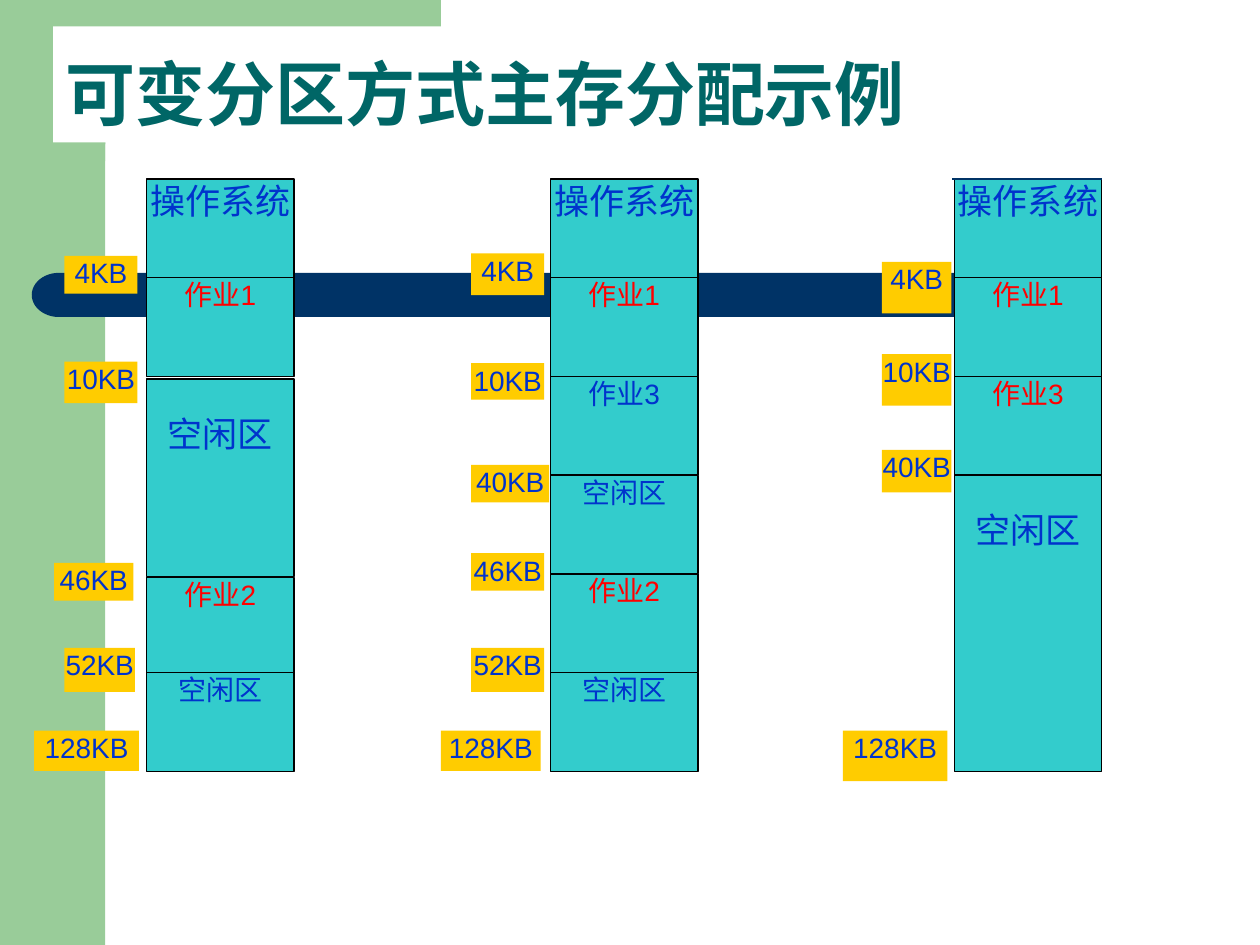
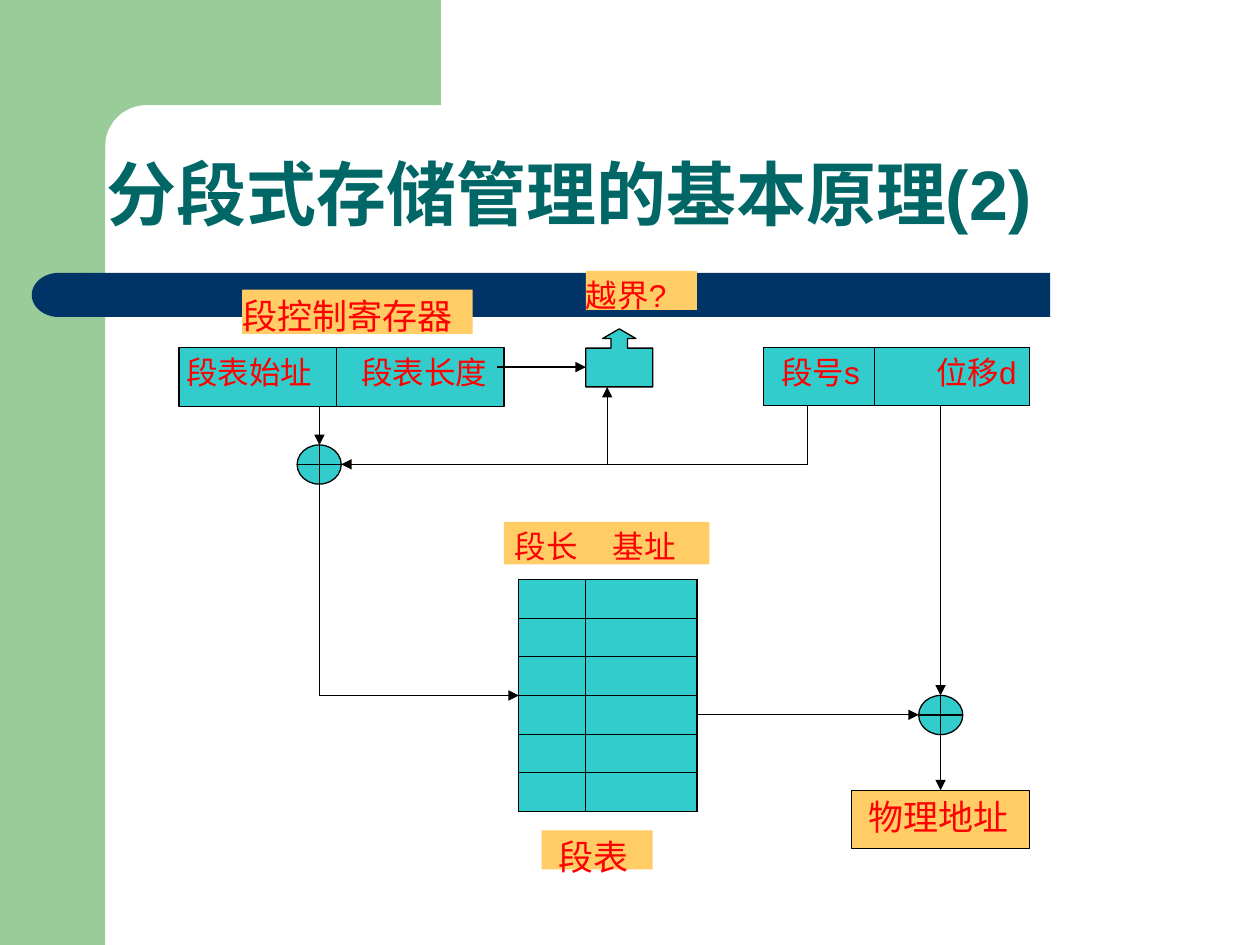
"""Build two slides on memory management: variable partitions and segmentation."""
import dataclasses
import math

import lxml.etree
import pptx
import pptx.dml.color
import pptx.enum.shapes
import pptx.enum.text
import pptx.oxml.ns
import pptx.util

Cm, Pt = pptx.util.Cm, pptx.util.Pt
Kind = pptx.enum.shapes.MSO_SHAPE
Align = pptx.enum.text.PP_ALIGN
Anchor = pptx.enum.text.MSO_ANCHOR
qn = pptx.oxml.ns.qn


@dataclasses.dataclass(frozen=True)
class Theme:
    """Colours, type sizes and line width of the deck."""
    font: str = "Arial"
    green: str = "99CC99"
    navy: str = "003366"
    title: str = "006666"
    cyan: str = "33CCCC"
    gold: str = "FFCC00"
    sand: str = "FFCC66"
    blue: str = "0033CC"
    red: str = "FF0000"
    black: str = "000000"
    white: str = "FFFFFF"
    head: int = 40
    large: int = 20
    mid: int = 18
    small: int = 16
    rule: float = 0.75


T = Theme()

HEADS = [
    ("可变分区方式主存分配示例", (1.07, 0.53, 23.65, 2.34), T.white),
    ("分段式存储管理的基本原理(2)", (1.9, 1.7, 23.5, 3.18), None),
]

UNIT, WIDE, LEFT, TOP, STEP = 1.99, 2.97, 2.96, 3.61, 8.14
SYSTEM = ("操作系统", 1, T.blue, T.large, 0, 0)
JOB1 = ("作业1", 1, T.red, T.small, 0, 0)
JOB2 = ("作业2", 1, T.red, T.small, 0, 0)
FREE = ("空闲区", 1, T.blue, T.small, 0, 0)
STACKS = [
    [SYSTEM, JOB1, ("空闲区", 2, T.blue, T.large, 0.67, 0.05),
     ("作业2", 1, T.red, T.small, 0, 0.07), FREE],
    [SYSTEM, JOB1, ("作业3", 1, T.blue, T.small, 0, 0), FREE, JOB2, FREE],
    [SYSTEM, JOB1, ("作业3", 1, T.red, T.small, 0, 0),
     ("空闲区", 3, T.blue, T.large, 0.67, 0)],
]
MARKS = [
    ("4KB", 1.3, 5.16, 1.47, 0.76),
    ("10KB", 1.3, 7.29, 1.47, 0.84),
    ("46KB", 1.09, 11.35, 1.6, 0.76),
    ("52KB", 1.3, 13.06, 1.42, 0.89),
    ("128KB", 0.69, 14.73, 2.11, 0.81),
    ("4KB", 9.5, 5.11, 1.47, 0.84),
    ("10KB", 9.5, 7.32, 1.47, 0.74),
    ("40KB", 9.5, 9.37, 1.57, 0.76),
    ("46KB", 9.5, 11.15, 1.47, 0.76),
    ("52KB", 9.5, 13.06, 1.47, 0.89),
    ("128KB", 8.89, 14.73, 2.01, 0.81),
    ("4KB", 17.78, 5.28, 1.4, 1.04),
    ("10KB", 17.78, 7.14, 1.4, 1.04),
    ("40KB", 17.78, 9.07, 1.4, 0.86),
    ("128KB", 16.99, 14.73, 2.11, 1.02),
]

LABELS = [
    ("段控制寄存器", (4.88, 5.84, 4.65, 0.89), T.sand, None, T.large, 0),
    ("段表始址", (3.61, 7.01, 3.17, 1.19), T.cyan, T.black, T.mid, 0.15),
    ("段表长度", (6.78, 7.01, 3.38, 1.19), T.cyan, T.black, T.mid, 0.5),
    ("段号s", (15.39, 7.01, 2.24, 1.17), T.cyan, T.black, T.mid, 0.36),
    ("位移d", (17.63, 7.01, 3.12, 1.17), T.cyan, T.black, T.mid, 1.24),
    ("段长", (10.16, 10.52, 1.65, 0.86), T.sand, None, T.mid, 0.22),
    ("基址", (11.81, 10.52, 2.49, 0.86), T.sand, None, T.mid, 0.54),
    ("物理地址", (17.17, 15.93, 3.58, 1.17), T.sand, T.black, T.large, 0.33),
    ("越界?", (11.81, 5.46, 2.24, 0.79), T.sand, None, T.mid, 0),
    ("段表", (10.92, 16.74, 2.24, 0.79), T.sand, None, T.large, 0.33),
]
GRID = {"at": (10.46, 11.68), "cols": (1.35, 2.24), "rows": 6, "high": 0.78}
SUMS = [(5.99, 8.97, 0.89, 0.79), (18.52, 14.02, 0.89, 0.79)]
CHECK = (11.81, 6.63, 1.35, 1.17)
RATIOS = (0.287, 0.287, 0.167, 0.667)
PLAIN = [
    (16.28, 8.18, 16.28, 9.36),
    (6.44, 9.76, 6.44, 14.02),
]
ARROWS = [
    (6.44, 8.2, 6.44, 8.97),
    (16.28, 9.36, 6.88, 9.36),
    (6.44, 14.02, 10.46, 14.02),
    (14.05, 14.41, 18.52, 14.41),
    (18.96, 8.18, 18.96, 14.02),
    (12.24, 9.36, 12.24, 7.8),
    (10.01, 7.4, 11.81, 7.4),
]
RESULT = (18.96, 14.81, 18.96, 15.93)


def tint(hue):
    return pptx.dml.color.RGBColor.from_string(hue)


def fit(obj, form):
    for key, value in form.items():
        setattr(obj, key, value)


def paint(shape, fill, edge=None):
    shape.shadow.inherit = False
    shape.fill.solid()
    shape.fill.fore_color.rgb = tint(fill)
    if edge:
        shape.line.color.rgb = tint(edge)
        shape.line.width = Pt(T.rule)
    else:
        shape.line.fill.background()
    return shape


def form(slide, kind, at, fill, edge=None):
    return paint(slide.shapes.add_shape(kind, *map(Cm, at)), fill, edge)


def write(frame, text, size, hue, align=Align.LEFT, **look):
    fit(frame, look)
    para = frame.paragraphs[0]
    para.alignment = align
    run = para.add_run()
    run.text = text
    fit(run.font, {"name": T.font, "size": Pt(size)})
    run.font.color.rgb = tint(hue)
    face = lxml.etree.SubElement(run.font._element, qn("a:ea"))
    face.set("typeface", T.font)
    return para, run


def box(slide, text, at, fill, edge, size, hue, pad, align):
    """Draw a rectangle whose text starts at the given (left, top) padding."""
    shape = form(slide, Kind.RECTANGLE, at, fill, edge)
    write(shape.text_frame, text, size, hue, align,
          margin_left=Cm(pad[0]), margin_top=Cm(pad[1]), margin_right=0,
          margin_bottom=0, vertical_anchor=Anchor.TOP,
          word_wrap=align != Align.CENTER)
    return shape


def wire(slide, ends, hue=T.black, arrow=False):
    line = slide.shapes.add_connector(
        pptx.enum.shapes.MSO_CONNECTOR.STRAIGHT, *map(Cm, ends))
    line.line.color.rgb = tint(hue)
    line.line.width = Pt(T.rule)
    props = line.element.spPr
    if arrow:
        tip = lxml.etree.SubElement(props.find(qn("a:ln")), qn("a:tailEnd"))
        tip.set("type", "triangle")
    lxml.etree.SubElement(props, qn("a:effectLst"))
    return line


def dress(layout, slide):
    """Draw the shared bands and move them to the layout."""
    for spare in list(layout.placeholders)[1:]:
        spare.element.getparent().remove(spare.element)
    mid, bend = 2.95, 0.83
    turns = [math.radians(90 * step / 12) for step in range(13)]
    arc = [(mid - bend * math.sin(a), mid - bend * math.cos(a)) for a in turns]
    edge = [(8.89, 0), (8.89, 2.12), *arc, (2.12, 3.25), (1.27, 3.25)]
    pen = slide.shapes.build_freeform(Cm(1.27), 0)
    pen.add_line_segments([(Cm(x), Cm(y)) for x, y in edge], close=True)
    cap = form(slide, Kind.FLOWCHART_DELAY, (0.64, 5.5, 1.09, 0.89), T.navy)
    cap.rotation = 180
    bands = [
        form(slide, Kind.RECTANGLE, (0, 0, 2.12, 19.05), T.green),
        paint(pen.convert_to_shape(), T.green),
        form(slide, Kind.RECTANGLE, (1.7, 5.5, 19.47, 0.89), T.navy),
        cap,
    ]
    for band in bands:
        layout.shapes.element.append(band.element)


def head(slide, text, at, fill):
    title = slide.shapes.title
    fit(title, dict(zip(("left", "top", "width", "height"), map(Cm, at))))
    if fill:
        title.fill.solid()
        title.fill.fore_color.rgb = tint(fill)
    para, run = write(title.text_frame, text, T.head, T.title,
                      vertical_anchor=Anchor.BOTTOM, word_wrap=True,
                      auto_size=pptx.enum.text.MSO_AUTO_SIZE.NONE)
    para.line_spacing = 0.9
    run.font.bold = True


def stack(slide):
    for col, parts in enumerate(STACKS):
        left, done = LEFT + col * STEP, 0
        for text, units, hue, size, drop, nudge in parts:
            at = (left, TOP + done * UNIT + nudge, WIDE, units * UNIT)
            box(slide, text, at, T.cyan, T.black, size, hue, (0, drop),
                Align.CENTER)
            done += units
    for text, *at in MARKS:
        box(slide, text, at, T.gold, None, T.small, T.blue, (0, 0),
            Align.CENTER)
    wire(slide, (19.2, TOP, 22.22, TOP), T.navy)


def grid(slide):
    cols, rows, high = GRID["cols"], GRID["rows"], GRID["high"]
    size = (sum(cols), rows * high)
    table = slide.shapes.add_table(
        rows, len(cols), *map(Cm, GRID["at"] + size)).table
    fit(table, {"first_row": False, "horz_banding": False})
    for col, wide in zip(table.columns, cols):
        col.width = Cm(wide)
    for row in table.rows:
        row.height = Cm(high)
    for cell in table.iter_cells():
        fit(cell, dict.fromkeys(("margin_left", "margin_right",
                                 "margin_top", "margin_bottom"), 0))
        props = cell._tc.get_or_add_tcPr()
        for side in "LRTB":
            line = lxml.etree.SubElement(props, qn("a:ln" + side))
            line.set("w", str(Pt(T.rule)))
            ink = lxml.etree.SubElement(line, qn("a:solidFill"))
            lxml.etree.SubElement(ink, qn("a:srgbClr")).set("val", T.black)
        cell.fill.solid()
        cell.fill.fore_color.rgb = tint(T.cyan)


def chart(slide):
    made = {}
    for text, at, fill, edge, size, pad in LABELS:
        made[text] = box(slide, text, at, fill, edge, size, T.red,
                         (pad, 0.1), Align.LEFT)
    grid(slide)
    for at in SUMS:
        form(slide, Kind.FLOWCHART_OR, at, T.cyan, T.black)
    check = form(slide, Kind.UP_ARROW_CALLOUT, CHECK, T.cyan, T.black)
    for spot, ratio in enumerate(RATIOS):
        check.adjustments[spot] = ratio
    for ends in PLAIN:
        wire(slide, ends)
    for ends in ARROWS:
        wire(slide, ends, arrow=True)
    wire(slide, RESULT, arrow=True).end_connect(made["物理地址"], 0)


def main():
    deck = pptx.Presentation()
    fit(deck, {"slide_width": Cm(25.4), "slide_height": Cm(19.05)})
    layout = deck.slide_layouts[5]
    slides = [deck.slides.add_slide(layout) for _ in HEADS]
    dress(layout, slides[0])
    for slide, parts, draw in zip(slides, HEADS, (stack, chart)):
        head(slide, *parts)
        draw(slide)
    deck.save("out.pptx")


if __name__ == "__main__":
    main()
